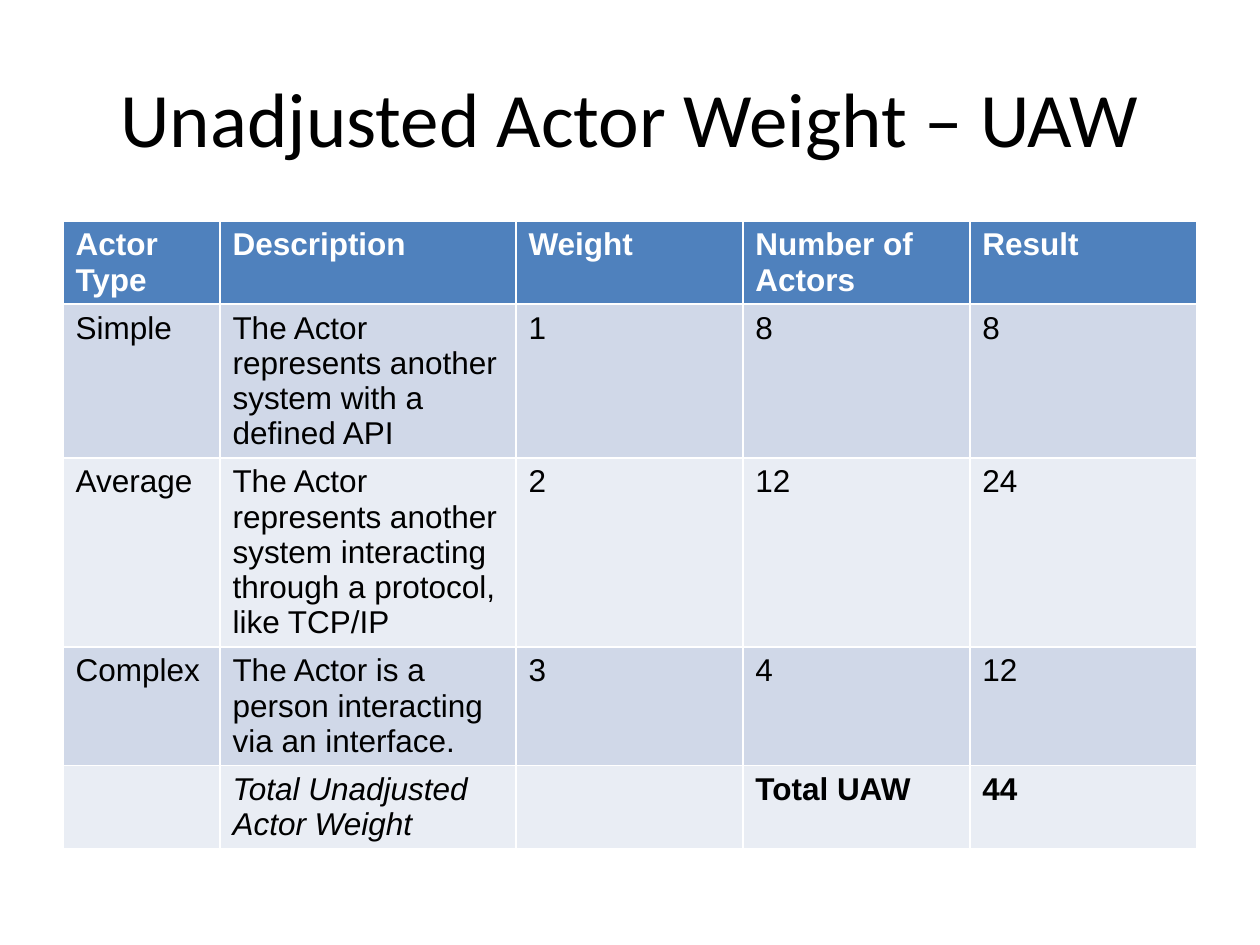
from dataclasses import dataclass

from pptx import Presentation
from pptx.dml.color import RGBColor
from pptx.enum.text import MSO_ANCHOR, PP_ALIGN
from pptx.util import Pt

MIDDLE = MSO_ANCHOR.MIDDLE
CENTER = PP_ALIGN.CENTER
PX = 914400 // 126
TITLE_ONLY = 5


@dataclass(frozen=True)
class Theme:
    title_font: str = "Calibri"
    body_font: str = "Arial"
    title_size: int = 44
    body_size: int = 18
    ink: str = "000000"
    header_ink: str = "FFFFFF"
    header_fill: str = "4F81BD"
    band_fills: tuple = ("D0D8E8", "E9EDF4")


THEME = Theme()
COLUMN_WIDTHS = [157, 296, 227, 227, 227]
ROW_HEIGHT = 52
ROWS = [
    ["Actor Type", "Description", "Weight", "Number of Actors", "Result"],
    ["Simple", "The Actor represents another system with a defined API", "1", "8", "8"],
    ["Average", "The Actor represents another system interacting through a protocol, like TCP/IP",
     "2", "12", "24"],
    ["Complex", "The Actor is a person interacting via an interface.", "3", "4", "12"],
    ["", "Total Unadjusted Actor Weight", "", "Total UAW", "44"],
]


def px(*values):
    return [v * PX for v in values]


def style_text(p, name, size, color, bold=False, italic=False):
    font = p.font
    font.name = name
    font.size = Pt(size)
    font.bold = bold
    font.italic = italic
    font.color.rgb = RGBColor.from_string(color)


def add_title(s, text):
    title = s.shapes.title
    title.left, title.top, title.width, title.height = px(63, 38, 1134, 158)
    tf = title.text_frame
    tf.text = text
    tf.vertical_anchor = MIDDLE
    p = tf.paragraphs[0]
    p.alignment = CENTER
    style_text(p, THEME.title_font, THEME.title_size, THEME.ink)


def fill_cell(cell, text, fill, color, bold, italic):
    cell.text = text
    cell.fill.solid()
    cell.fill.fore_color.rgb = RGBColor.from_string(fill)
    style_text(cell.text_frame.paragraphs[0], THEME.body_font, THEME.body_size,
               color, bold, italic)


def add_weight_table(s):
    box = px(63, 221, sum(COLUMN_WIDTHS), ROW_HEIGHT * len(ROWS))
    table = s.shapes.add_table(len(ROWS), len(COLUMN_WIDTHS), *box).table
    for column, width in zip(table.columns, COLUMN_WIDTHS):
        column.width = width * PX
    for i, row in enumerate(ROWS):
        header, total = i == 0, i == len(ROWS) - 1
        fill = THEME.header_fill if header else THEME.band_fills[(i - 1) % 2]
        color = THEME.header_ink if header else THEME.ink
        for j, text in enumerate(row):
            fill_cell(table.cell(i, j), text, fill, color,
                      bold=header or (total and j > 2), italic=total and j == 1)


def main():
    prs = Presentation()
    prs.slide_width, prs.slide_height = px(1260, 945)
    s = prs.slides.add_slide(prs.slide_layouts[TITLE_ONLY])
    add_title(s, "Unadjusted Actor Weight – UAW")
    add_weight_table(s)
    prs.save("out.pptx")


if __name__ == "__main__":
    main()
